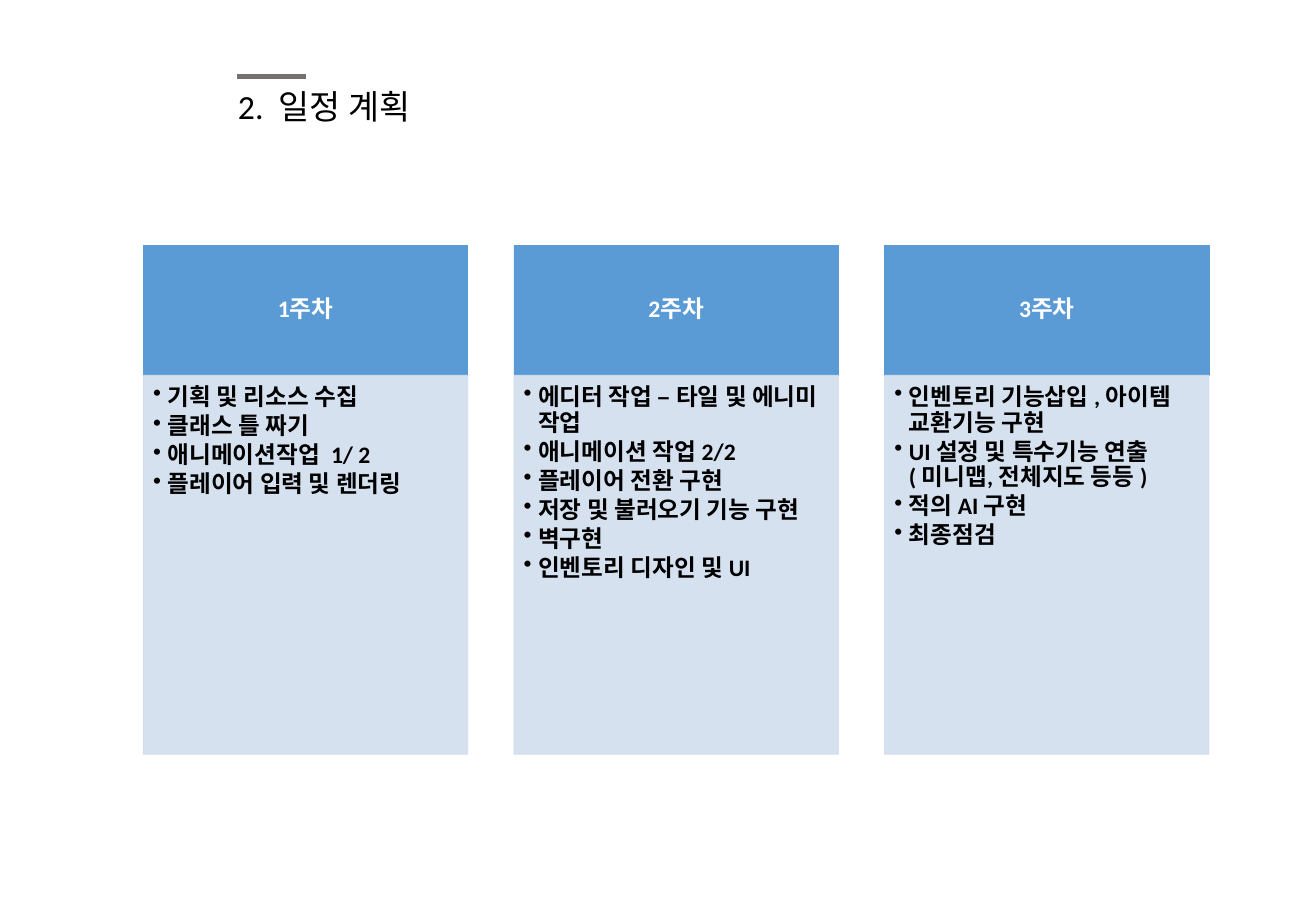
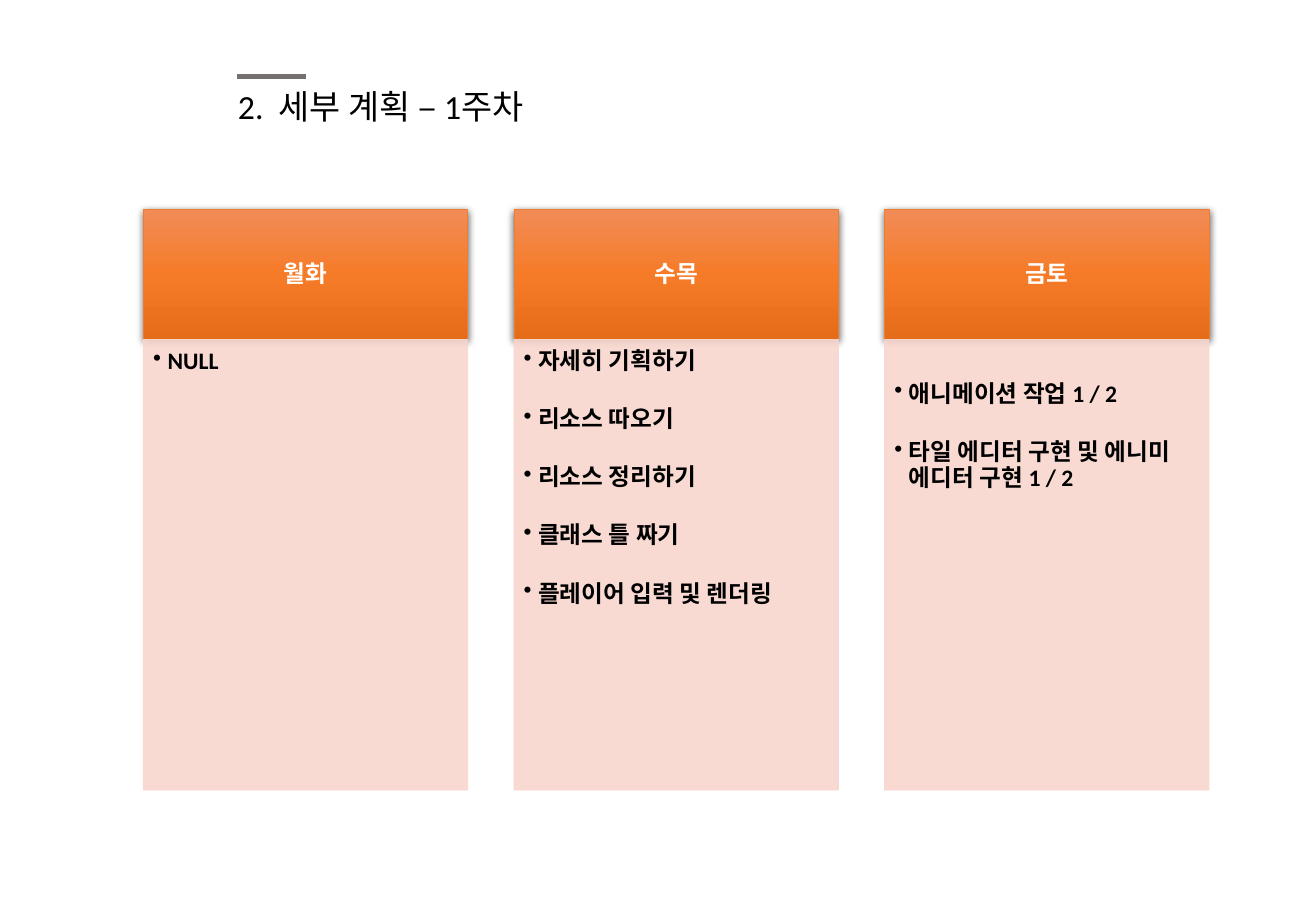
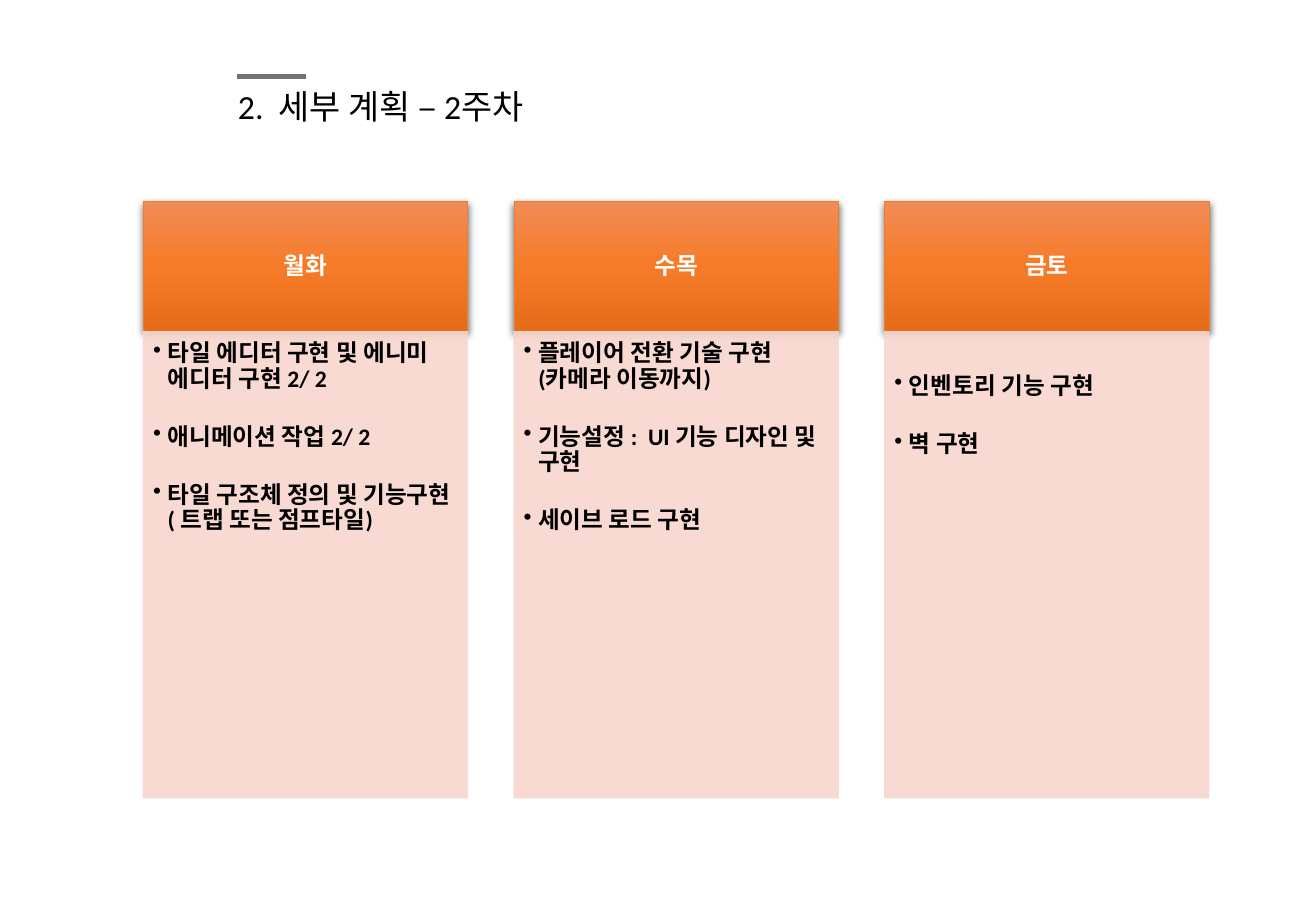
"""Builds three schedule slides, each with a title and three plan columns."""
from dataclasses import dataclass
from typing import Any

from lxml import etree
from pptx import Presentation
from pptx.dml.color import RGBColor
from pptx.enum.shapes import MSO_CONNECTOR, MSO_SHAPE
from pptx.enum.text import MSO_ANCHOR, PP_ALIGN
from pptx.oxml.ns import qn
from pptx.util import Inches, Pt

RECT, LINE = MSO_SHAPE.RECTANGLE, MSO_CONNECTOR.STRAIGHT
TOP, MID = MSO_ANCHOR.TOP, MSO_ANCHOR.MIDDLE
LEFT, CENTER = PP_ALIGN.LEFT, PP_ALIGN.CENTER

WIDE, HIGH = 10.83, 7.5
START, STEP, COL, HEAD = 1.18, 3.05, 2.67, 1.07
CENTRE = 4.115
TIGHT, LOOSE, DROP = 2.1, 19.3, 0.27
HUES = {
    "ink": "000000", "white": "FFFFFF", "rule": "767171",
    "blue": "5B9BD5", "sky": "D2DEEF",
    "orange": "ED7D31", "blush": "F8D7CE",
}
GLOW = ((0, "F18C57"), (50, "F67B28"), (100, "E56C19"))

TITLE = {"size": Pt(20), "bold": False}
LABEL = {"size": Pt(14), "bold": True}
HEADBOX = {"vertical_anchor": MID, "margin_left": Inches(0.11), "margin_right": Inches(0.11),
           "margin_top": Inches(0.06), "margin_bottom": Inches(0.06)}
BODYBOX = {"vertical_anchor": TOP, "margin_left": Inches(0.08), "margin_right": Inches(0.11),
           "margin_top": Inches(0.08), "margin_bottom": Inches(0.12)}
HEADPAR = {"alignment": CENTER, "line_spacing": 0.9}
BODYPAR = {"alignment": LEFT, "line_spacing": 0.9}


@dataclass(frozen=True)
class Plan:
    """One column: its heading, its items, and whether the items start lower."""
    head: str
    items: tuple[str, ...]
    low: bool = False


@dataclass(frozen=True)
class Theme:
    """Colours and spacing of a column set."""
    head: str
    body: str
    gap: float
    glow: bool = False


@dataclass(frozen=True)
class Page:
    """One slide: title, theme, body height and columns."""
    title: str
    theme: Theme
    depth: float
    plans: tuple[Plan, ...]


WEEK = Theme("blue", "sky", TIGHT)
DAY = Theme("orange", "blush", LOOSE, True)

PAGES = (
    Page("2.  일정 계획", WEEK, 3.12, (
        Plan("1주차", ("기획 및 리소스 수집", "클래스 틀 짜기", "애니메이션작업  1/ 2",
                     "플레이어 입력 및 렌더링")),
        Plan("2주차", ("에디터 작업 – 타일 및 에니미 작업", "애니메이션 작업 2/2",
                     "플레이어 전환 구현", "저장 및 불러오기 기능 구현", "벽구현",
                     "인벤토리 디자인 및 UI")),
        Plan("3주차", ("인벤토리 기능삽입 , 아이템 교환기능 구현",
                     "UI 설정 및 특수기능 연출 ( 미니맵, 전체지도 등등 )",
                     "적의 AI 구현", "최종점검")),
    )),
    Page("2.  세부 계획 – 1주차", DAY, 3.71, (
        Plan("월화", ("NULL",)),
        Plan("수목", ("자세히 기획하기", "리소스 따오기", "리소스 정리하기",
                    "클래스 틀 짜기", "플레이어 입력 및 렌더링")),
        Plan("금토", ("애니메이션 작업 1 / 2",
                    "타일 에디터 구현 및 에니미 에디터 구현 1 / 2"), True),
    )),
    Page("2.  세부 계획 – 2주차", DAY, 3.84, (
        Plan("월화", ("타일 에디터 구현 및 에니미 에디터 구현 2/ 2", "애니메이션 작업 2/ 2",
                    "타일 구조체 정의 및 기능구현 ( 트랩 또는 점프타일)")),
        Plan("수목", ("플레이어 전환 기술 구현(카메라 이동까지)",
                    "기능설정 :  UI 기능 디자인 및 구현", "세이브 로드 구현")),
        Plan("금토", ("인벤토리 기능 구현", "벽 구현"), True),
    )),
)


def style(item: Any, form: dict[str, Any]) -> None:
    """Set each format value on the item."""
    for name, value in form.items():
        setattr(item, name, value)


def node(root: Any, tag: str, **attrs: Any) -> Any:
    """Add a child element with the given attributes."""
    return etree.SubElement(root, qn(tag), {k: str(v) for k, v in attrs.items()})


def tint(hue: str) -> RGBColor:
    """Look up a named colour."""
    return RGBColor.from_string(HUES[hue])


def write(par: Any, text: str, hue: str, form: dict[str, Any]) -> None:
    """Add one run of text to a paragraph."""
    run = par.add_run()
    run.text = text
    style(run.font, {"name": "Calibri", **form})
    run.font.color.rgb = tint(hue)


def panel(slide: Any, x: float, y: float, high: float, hue: str) -> Any:
    """Draw a plain rectangle one column wide."""
    box = slide.shapes.add_shape(RECT, Inches(x), Inches(y), Inches(COL), Inches(high))
    box.shadow.inherit = False
    box.fill.solid()
    box.fill.fore_color.rgb = tint(hue)
    box.line.color.rgb = tint(hue)
    box.line.width = Pt(0.5)
    box.text_frame.word_wrap = True
    return box


def shine(box: Any) -> None:
    """Give a box the three-stop gradient and a soft shadow."""
    box.fill.gradient()
    box.fill.gradient_angle = 270
    props = box._element.spPr
    stops = props.find(qn("a:gradFill")).find(qn("a:gsLst"))
    for stop in list(stops):
        stops.remove(stop)
    for share, hue in GLOW:
        node(node(stops, "a:gs", pos=share * 1000), "a:srgbClr", val=hue)
    cast = node(props.find(qn("a:effectLst")), "a:outerShdw", blurRad=Pt(4.5),
                dist=Pt(1.5), dir=5400000, algn="ctr", rotWithShape=0)
    node(node(cast, "a:srgbClr", val=HUES["ink"]), "a:alpha", val=63000)


def header(slide: Any, x: float, y: float, text: str, theme: Theme) -> None:
    """Draw a column heading."""
    box = panel(slide, x, y, HEAD, theme.head)
    if theme.glow:
        shine(box)
    style(box.text_frame, HEADBOX)
    par = box.text_frame.paragraphs[0]
    style(par, HEADPAR)
    write(par, text, "white", LABEL)


def body(slide: Any, x: float, y: float, plan: Plan, page: Page) -> None:
    """Draw a column body with its bulleted items."""
    box = panel(slide, x, y, page.depth, page.theme.body)
    for hue in list(box._element.spPr.iter(qn("a:srgbClr"))):
        node(hue, "a:alpha", val=90000)
    frame = box.text_frame
    style(frame, BODYBOX)
    if plan.low:
        frame.margin_top += Inches(DROP)
    for i, text in enumerate(plan.items):
        par = frame.add_paragraph() if i else frame.paragraphs[0]
        style(par, {**BODYPAR, "space_after": Pt(page.theme.gap)})
        props = par._p.get_or_add_pPr()
        props.set("marL", str(Inches(0.12)))
        props.set("indent", str(Inches(-0.12)))
        node(props, "a:buChar", char="•")
        write(par, text, "ink", LABEL)


def title(slide: Any, text: str) -> None:
    """Draw the slide title and the short rule above it."""
    box = slide.shapes.add_textbox(Inches(1.86), Inches(0.66), Inches(5.24), Inches(0.44))
    box.text_frame.word_wrap = True
    write(box.text_frame.paragraphs[0], text, "ink", TITLE)
    rule = slide.shapes.add_connector(LINE, Inches(1.95), Inches(0.63), Inches(2.52), Inches(0.63))
    rule.line.color.rgb = tint("rule")
    rule.line.width = Pt(3)
    node(rule._element.spPr, "a:effectLst")


def build(deck: Any, page: Page) -> None:
    """Add one slide, its columns centred on a common height."""
    slide = deck.slides.add_slide(deck.slide_layouts[6])
    title(slide, page.title)
    y = CENTRE - (HEAD + page.depth) / 2
    for i, plan in enumerate(page.plans):
        x = START + i * STEP
        header(slide, x, y, plan.head, page.theme)
        body(slide, x, y + HEAD, plan, page)


def main() -> None:
    """Build and save the deck."""
    deck = Presentation()
    style(deck, {"slide_width": Inches(WIDE), "slide_height": Inches(HIGH)})
    for page in PAGES:
        build(deck, page)
    deck.save("out.pptx")


if __name__ == "__main__":
    main()
